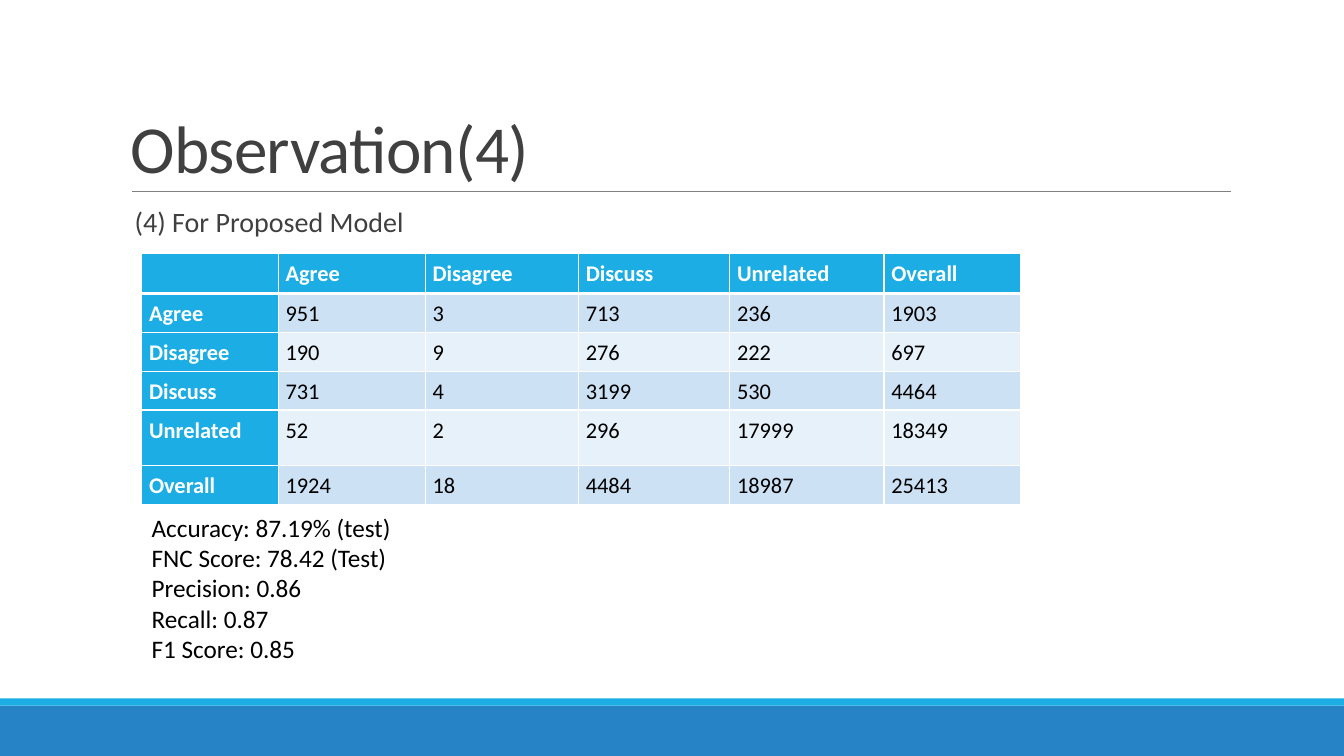
from lxml import etree
from pptx import Presentation
from pptx.dml.color import RGBColor
from pptx.enum.shapes import MSO_CONNECTOR, MSO_SHAPE
from pptx.enum.text import MSO_ANCHOR
from pptx.oxml.ns import qn
from pptx.util import Pt

RECT = MSO_SHAPE.RECTANGLE
STRAIGHT = MSO_CONNECTOR.STRAIGHT
BOTTOM, TOP = MSO_ANCHOR.BOTTOM, MSO_ANCHOR.TOP
PX = 9525
FONT = "Calibri"
WHITE = RGBColor(0xFF, 0xFF, 0xFF)
BLACK = RGBColor(0x00, 0x00, 0x00)
DARK = RGBColor(0x40, 0x40, 0x40)
GRAY = RGBColor(0x80, 0x80, 0x80)
BLUE = RGBColor(0x26, 0x83, 0xC6)
CYAN = RGBColor(0x1C, 0xAD, 0xE4)
BAND_ODD = RGBColor(0xCC, 0xE2, 0xF4)
BAND_EVEN = RGBColor(0xE7, 0xF1, 0xF9)


def add_text(p, text, size, color, bold=False, **spacing):
    for name, value in spacing.items():
        setattr(p, name, value)
    r = p.add_run()
    r.text = text
    for name, value in {"name": FONT, "size": Pt(size), "bold": bold}.items():
        setattr(r.font, name, value)
    r.font.color.rgb = color
    return r


def add_box(slide, box, anchor=TOP, **margins):
    tf = slide.shapes.add_textbox(*[v * PX for v in box]).text_frame
    tf.word_wrap = True
    tf.vertical_anchor = anchor
    for name, value in margins.items():
        setattr(tf, name, value)
    return tf


prs = Presentation()
prs.slide_width, prs.slide_height = 1280 * PX, 720 * PX
slide = prs.slides.add_slide(prs.slide_layouts[6])

for top, height, color in [(672, 48, BLUE), (665, 7, CYAN)]:
    sp = slide.shapes.add_shape(RECT, 0, top * PX, 1280 * PX, height * PX)
    sp.shadow.inherit = False
    sp.fill.solid()
    sp.fill.fore_color.rgb = color
    sp.line.fill.background()

rule = slide.shapes.add_connector(STRAIGHT, 126 * PX, 182 * PX, 1172 * PX, 182 * PX)
rule.line.color.rgb = GRAY
rule.line.width = Pt(0.5)
etree.SubElement(rule._element.spPr, qn("a:effectLst"))

tf = add_box(slide, (115, 30, 1056, 153), BOTTOM)
r = add_text(tf.paragraphs[0], "Observation(4)", 48, DARK, line_spacing=0.85)
r.font._element.set("spc", "-50")

tf = add_box(slide, (115, 194, 1056, 422), margin_left=0, margin_right=0)
p = tf.paragraphs[0]
add_text(p, "(4) For Proposed Model", 20, DARK,
         line_spacing=0.9, space_before=Pt(12), space_after=Pt(2))
pPr = p._p.get_or_add_pPr()
pPr.set("marL", str(10 * PX))
pPr.set("indent", str(-10 * PX))
bullet_color = etree.SubElement(pPr, qn("a:buClr"))
etree.SubElement(bullet_color, qn("a:srgbClr"), val=str(CYAN))
etree.SubElement(pPr, qn("a:buChar"), char=" ")

labels = ["Agree", "Disagree", "Discuss", "Unrelated", "Overall"]
counts = [
    [951, 3, 713, 236, 1903],
    [190, 9, 276, 222, 697],
    [731, 4, 3199, 530, 4464],
    [52, 2, 296, 17999, 18349],
    [1924, 18, 4484, 18987, 25413],
]
rows = [["", *labels]] + [[label, *row] for label, row in zip(labels, counts)]
widths = [130, 140, 146, 144, 147, 130]
heights = [33, 33, 33, 33, 53, 33]
table = slide.shapes.add_table(len(rows), len(widths), 135 * PX, 241 * PX,
                               sum(widths) * PX, sum(heights) * PX).table
for col, width in zip(table.columns, widths):
    col.width = width * PX
for row, height in zip(table.rows, heights):
    row.height = height * PX

for i, row in enumerate(rows):
    for j, value in enumerate(row):
        cell = table.cell(i, j)
        heading = i == 0 or j == 0
        cell.margin_left = cell.margin_right = 7 * PX
        add_text(cell.text_frame.paragraphs[0], str(value), 16,
                 WHITE if heading else BLACK, heading, line_spacing=1.07)
        tcPr = cell._tc.get_or_add_tcPr()
        for side in "LRTB":
            thick = (i, side) in [(0, "B"), (1, "T")]
            ln = etree.SubElement(tcPr, qn("a:ln" + side), w=str(Pt(3 if thick else 0.96)))
            fill = etree.SubElement(ln, qn("a:solidFill"))
            etree.SubElement(fill, qn("a:srgbClr"), val=str(WHITE))
        cell.fill.solid()
        cell.fill.fore_color.rgb = CYAN if heading else BAND_ODD if i % 2 else BAND_EVEN

scores = [
    "Accuracy: 87.19% (test)",
    "FNC Score: 78.42 (Test)",
    "Precision: 0.86",
    "Recall: 0.87",
    "F1 Score: 0.85",
]
tf = add_box(slide, (135, 483, 569, 154))
for i, score in enumerate(scores):
    p = tf.add_paragraph() if i else tf.paragraphs[0]
    add_text(p, score, 18, BLACK)

prs.save("out.pptx")
